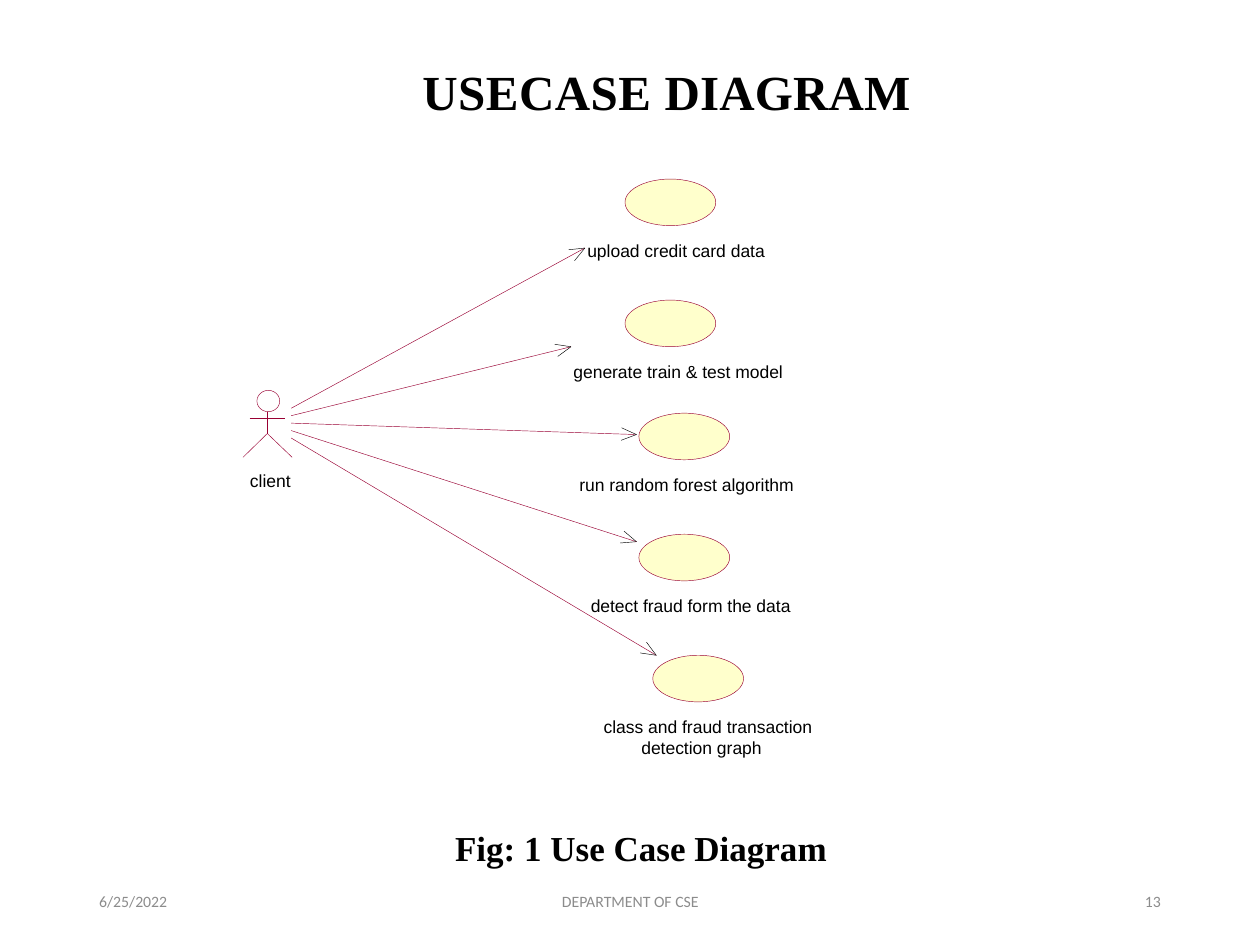
from dataclasses import dataclass
from math import atan2, cos, pi, sin

from lxml import etree
from pptx import Presentation
from pptx.dml.color import RGBColor
from pptx.enum.shapes import MSO_CONNECTOR, MSO_SHAPE
from pptx.enum.text import MSO_ANCHOR, PP_ALIGN
from pptx.oxml.ns import qn
from pptx.util import Cm, Pt

STRAIGHT = MSO_CONNECTOR.STRAIGHT
OVAL = MSO_SHAPE.OVAL
TOP, MIDDLE = MSO_ANCHOR.TOP, MSO_ANCHOR.MIDDLE
LEFT, CENTER, RIGHT = PP_ALIGN.LEFT, PP_ALIGN.CENTER, PP_ALIGN.RIGHT

BLACK = RGBColor(0x00, 0x00, 0x00)
GRAY = RGBColor(0x8C, 0x8C, 0x8C)
MAROON = RGBColor(0x99, 0x00, 0x33)
CREAM = RGBColor(0xFF, 0xFF, 0xCC)

LINE_WIDTH = Pt(0.25)
OVAL_WIDTH, OVAL_HEIGHT = 1.83, 0.94
LABEL_DROP, LABEL_HEIGHT, LABEL_PITCH = 1.22, 0.41, 0.43
BARB_LENGTH, BARB_ANGLE = 0.33, pi / 8
ARROW_X, ARROW_Y, ARROW_PITCH = 5.87, 8.23, 0.15

NO_MARGINS = {"margin_left": 0, "margin_top": 0, "margin_right": 0, "margin_bottom": 0}
TITLE_FRAME = NO_MARGINS | {"vertical_anchor": MIDDLE, "margin_top": Cm(0.05), "word_wrap": True}
LABEL_FRAME = NO_MARGINS | {"vertical_anchor": TOP, "word_wrap": False}
CAPTION_FRAME = {"vertical_anchor": TOP, "margin_right": Cm(1.12), "word_wrap": True}
FOOTER_FRAME = {"vertical_anchor": MIDDLE, "word_wrap": True}

TITLE_FONT = {"name": "Times New Roman", "size": Pt(28), "bold": True}
LABEL_FONT = {"name": "Arial", "size": Pt(10)}
CAPTION_FONT = {"name": "Times New Roman", "size": Pt(20), "bold": True}
FOOTER_FONT = {"name": "Calibri", "size": Pt(9)}


@dataclass(frozen=True)
class Box:
    left: float
    top: float
    width: float
    height: float

    def lengths(self) -> list:
        return [Cm(value) for value in (self.left, self.top, self.width, self.height)]


@dataclass(frozen=True)
class Label:
    text: str
    left: float
    width: float


@dataclass(frozen=True)
class UseCase:
    left: float
    top: float
    tip: tuple[float, float]
    labels: tuple[Label, ...]


USE_CASES = (
    UseCase(12.6, 3.61, (11.79, 5.0), (Label("upload credit card data", 11.84, 3.58),)),
    UseCase(12.6, 6.05, (11.51, 6.99), (Label("generate train & test model", 11.56, 4.24),)),
    UseCase(12.88, 8.33, (12.83, 8.76), (Label("run random forest algorithm", 11.68, 4.34),)),
    UseCase(12.88, 10.77, (12.83, 10.92), (Label("detect fraud form the data", 11.91, 4.04),)),
    UseCase(13.16, 13.21, (13.23, 13.21), (
        Label("class and fraud transaction", 12.17, 4.22),
        Label("detection graph", 12.93, 2.44),
    )),
)

FOOTERS = (
    ("6/25/2022", Box(1.75, 17.65, 5.72, 1.02), LEFT),
    ("DEPARTMENT OF CSE", Box(8.41, 17.65, 8.59, 1.02), CENTER),
    ("13", Box(17.93, 17.65, 5.72, 1.02), RIGHT),
)


def apply(target, values: dict) -> None:
    for name, value in values.items():
        setattr(target, name, value)


def add_text(slide, box: Box, runs: tuple, frame_format: dict, font_format: dict,
             alignment=LEFT, color: RGBColor = BLACK) -> None:
    frame = slide.shapes.add_textbox(*box.lengths()).text_frame
    apply(frame, frame_format)
    paragraph = frame.paragraphs[0]
    paragraph.alignment = alignment
    for text, spacing in runs:
        run = paragraph.add_run()
        run.text = text
        apply(run.font, font_format)
        run.font.color.rgb = color
        if spacing:
            run._r.get_or_add_rPr().set("spc", str(spacing))


def style_outline(shape) -> None:
    shape.shadow.inherit = False
    shape.line.color.rgb = MAROON
    shape.line.width = LINE_WIDTH


def add_oval(slide, box: Box, fill: RGBColor | None = None) -> None:
    oval = slide.shapes.add_shape(OVAL, *box.lengths())
    style_outline(oval)
    if fill is None:
        oval.fill.background()
    else:
        oval.fill.solid()
        oval.fill.fore_color.rgb = fill


def add_line(slide, start: tuple, end: tuple, color: RGBColor = MAROON) -> None:
    line = slide.shapes.add_connector(STRAIGHT, *(Cm(value) for value in start + end))
    line.line.color.rgb = color
    line.line.width = LINE_WIDTH
    etree.SubElement(line._element.spPr, qn("a:effectLst"))


def add_arrow(slide, start: tuple, tip: tuple) -> None:
    add_line(slide, start, tip)
    direction = atan2(start[1] - tip[1], start[0] - tip[0])
    for angle in (direction - BARB_ANGLE, direction + BARB_ANGLE):
        barb = (tip[0] + BARB_LENGTH * cos(angle), tip[1] + BARB_LENGTH * sin(angle))
        add_line(slide, tip, barb, BLACK)


def add_label(slide, label: Label, top: float) -> None:
    box = Box(label.left, top, label.width, LABEL_HEIGHT)
    add_text(slide, box, ((label.text, 0),), LABEL_FRAME, LABEL_FONT)


def add_use_case(slide, use_case: UseCase) -> None:
    add_oval(slide, Box(use_case.left, use_case.top, OVAL_WIDTH, OVAL_HEIGHT), CREAM)
    for row, label in enumerate(use_case.labels):
        add_label(slide, label, use_case.top + LABEL_DROP + row * LABEL_PITCH)


def add_client(slide) -> None:
    add_oval(slide, Box(5.18, 7.87, 0.46, 0.43))
    add_line(slide, (5.39, 8.3), (5.39, 8.74))
    add_line(slide, (5.03, 8.43), (5.74, 8.43))
    builder = slide.shapes.build_freeform(Cm(4.9), Cm(9.22))
    builder.add_line_segments([(Cm(5.39), Cm(8.74)), (Cm(5.89), Cm(9.22))], close=False)
    legs = builder.convert_to_shape()
    style_outline(legs)
    legs.fill.background()
    add_label(slide, Label("client", 5.04, 0.84), 9.47)


def main() -> None:
    presentation = Presentation()
    presentation.slide_width, presentation.slide_height = Cm(25.4), Cm(19.05)
    slide = presentation.slides.add_slide(presentation.slide_layouts[6])

    add_text(slide, Box(6.35, 1.19, 14.17, 1.24), (("USECASE ", 30), ("DIAGRAM", 10)),
             TITLE_FRAME, TITLE_FONT, CENTER)
    for text, box, alignment in FOOTERS:
        add_text(slide, box, ((text, 0),), FOOTER_FRAME, FOOTER_FONT, alignment, GRAY)
    for row, use_case in enumerate(USE_CASES):
        add_arrow(slide, (ARROW_X, ARROW_Y + row * ARROW_PITCH), use_case.tip)
        add_use_case(slide, use_case)
    add_client(slide)
    add_text(slide, Box(8.05, 16.54, 10.62, 1.12), (("Fig: 1 Use Case Diagram", 0),),
             CAPTION_FRAME, CAPTION_FONT, CENTER)

    presentation.save("out.pptx")


if __name__ == "__main__":
    main()
